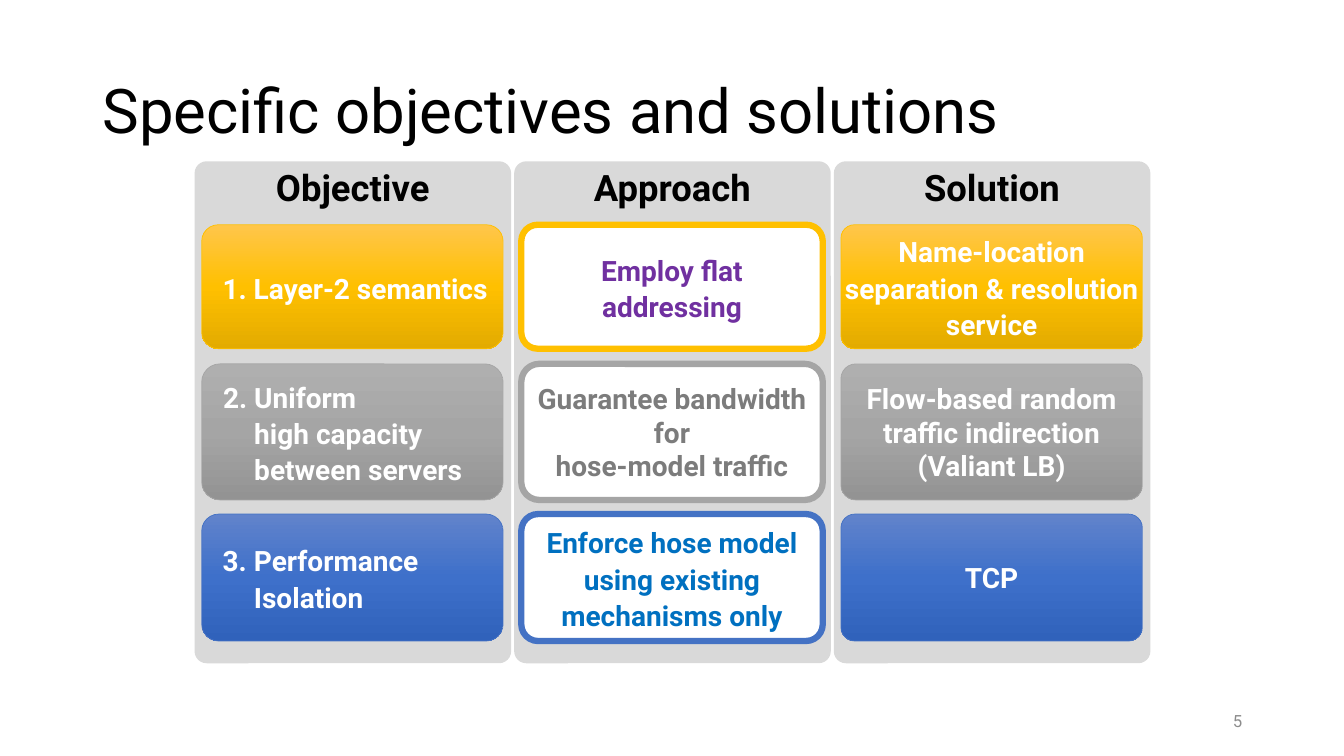
from copy import deepcopy

from pptx import Presentation
from pptx.dml.color import RGBColor
from pptx.enum.shapes import MSO_SHAPE
from pptx.enum.text import MSO_ANCHOR, MSO_AUTO_SIZE, PP_ALIGN
from pptx.util import Inches, Pt

FONT = "Roboto"
WHITE = "FFFFFF"
PANEL_LEFT, PANEL_TOP, PANEL_WIDTH, PANEL_HEIGHT = 1.93, 1.6, 3.14, 4.98
PITCH = 3.17
CARD_INSET, CARD_WIDTH = 0.07, 2.99
COLUMNS = ["Objective", "Approach", "Solution"]
CORNERS = [0.135, 0.132, 0.11]
ROWS = [
    {
        "top": 2.23, "height": 1.23,
        "shades": ["FFC64B", "FFC000", "E3AB00"],
        "edge": "FFC000", "ink": "7030A0", "leading": [26, 26, 26],
        "texts": [
            "1. Layer-2 semantics",
            "Employ flat addressing",
            "Name-location separation & resolution service",
        ],
    },
    {
        "top": 3.61, "height": 1.35,
        "shades": ["AFAFAF", "A5A5A5", "939393"],
        "edge": "A5A5A5", "ink": "7C7C7C", "leading": [26, None, None],
        "texts": [
            "2. Uniform\nhigh capacity between servers",
            "Guarantee bandwidth for\nhose-model traffic",
            "Flow-based random traffic indirection\n(Valiant LB)",
        ],
    },
    {
        "top": 5.1, "height": 1.26,
        "shades": ["6183CB", "3E70CA", "3062BB"],
        "edge": "4472C4", "ink": "0070C0", "leading": [26, 26, None],
        "texts": [
            "3. Performance Isolation",
            "Enforce hose model using existing mechanisms only",
            "TCP",
        ],
    },
]


def paint(color, value):
    color.rgb = RGBColor.from_string(value)


def box(left, top, width, height):
    return [Inches(length) for length in (left, top, width, height)]


def write(frame, text, size, ink, align, anchor, bold=False, leading=None):
    frame.word_wrap = True
    frame.auto_size = MSO_AUTO_SIZE.NONE
    frame.vertical_anchor = anchor
    paragraph = frame.paragraphs[0]
    paragraph.text = text
    paragraph.alignment = align
    if leading:
        paragraph.line_spacing = leading
    for run in paragraph.runs:
        run.font.name = FONT
        run.font.size = Pt(size)
        run.font.bold = bold
        paint(run.font.color, ink)


def set_margins(frame, side):
    frame.margin_left = frame.margin_right = Inches(side)
    frame.margin_top = frame.margin_bottom = 0


def add_rounded(slide, area, corner):
    rounded = slide.shapes.add_shape(MSO_SHAPE.ROUNDED_RECTANGLE, *area)
    rounded.adjustments[0] = corner
    rounded.shadow.inherit = False
    return rounded


def fill_shaded(card, shades):
    card.fill.gradient()
    card.fill.gradient_angle = 270
    stops = card._element.spPr.xpath("a:gradFill/a:gsLst")[0]
    stops.insert(1, deepcopy(stops[0]))
    for stop, position, shade in zip(card.fill.gradient_stops, (0, 0.5, 1), shades):
        stop.position = position
        paint(stop.color, shade)


def add_panel(slide, column):
    area = box(PANEL_LEFT + column * PITCH, PANEL_TOP, PANEL_WIDTH, PANEL_HEIGHT)
    panel = add_rounded(slide, area, 0.038)
    panel.fill.solid()
    paint(panel.fill.fore_color, "D9D9D9")
    panel.line.fill.background()
    set_margins(panel.text_frame, 0)
    write(panel.text_frame, COLUMNS[column], 26, "000000",
          PP_ALIGN.CENTER, MSO_ANCHOR.TOP, bold=True)


def add_card(slide, row, column):
    left = PANEL_LEFT + CARD_INSET + column * PITCH
    card = add_rounded(slide, box(left, row["top"], CARD_WIDTH, row["height"]),
                       CORNERS[column])
    objective, outlined = column == 0, column == 1
    if outlined:
        card.fill.solid()
        paint(card.fill.fore_color, WHITE)
    else:
        fill_shaded(card, row["shades"])
    paint(card.line.color, row["edge"])
    card.line.width = Pt(4.5 if outlined else 0.5)
    frame = card.text_frame
    set_margins(frame, 0.1 if objective or row is ROWS[0] and outlined else 0)
    write(frame, row["texts"][column], 20, row["ink"] if outlined else WHITE,
          PP_ALIGN.LEFT if objective else PP_ALIGN.CENTER, MSO_ANCHOR.MIDDLE,
          bold=True, leading=Pt(row["leading"][column]) if row["leading"][column] else None)
    if objective:
        frame.margin_right = Inches(0.05)
        properties = frame.paragraphs[0]._p.get_or_add_pPr()
        properties.set("marL", str(Inches(0.37)))
        properties.set("indent", str(Inches(-0.31)))


def add_title(slide, text):
    title = slide.shapes.title
    title.left, title.top, title.width, title.height = box(0.92, 0.4, 11.5, 1.45)
    write(title.text_frame, text, 44, "000000", PP_ALIGN.LEFT,
          MSO_ANCHOR.MIDDLE, leading=0.9)


def add_page_number(slide, number):
    page = slide.shapes.add_textbox(*box(9.42, 6.95, 3, 0.4))
    write(page.text_frame, number, 12, "8C8C8C", PP_ALIGN.RIGHT, MSO_ANCHOR.MIDDLE)


def main():
    deck = Presentation()
    deck.slide_width, deck.slide_height = Inches(13.33), Inches(7.5)
    slide = deck.slides.add_slide(deck.slide_layouts[5])
    add_title(slide, "Specific objectives and solutions")
    for column in range(len(COLUMNS)):
        add_panel(slide, column)
        for row in ROWS:
            add_card(slide, row, column)
    add_page_number(slide, "5")
    deck.save("out.pptx")


if __name__ == "__main__":
    main()
